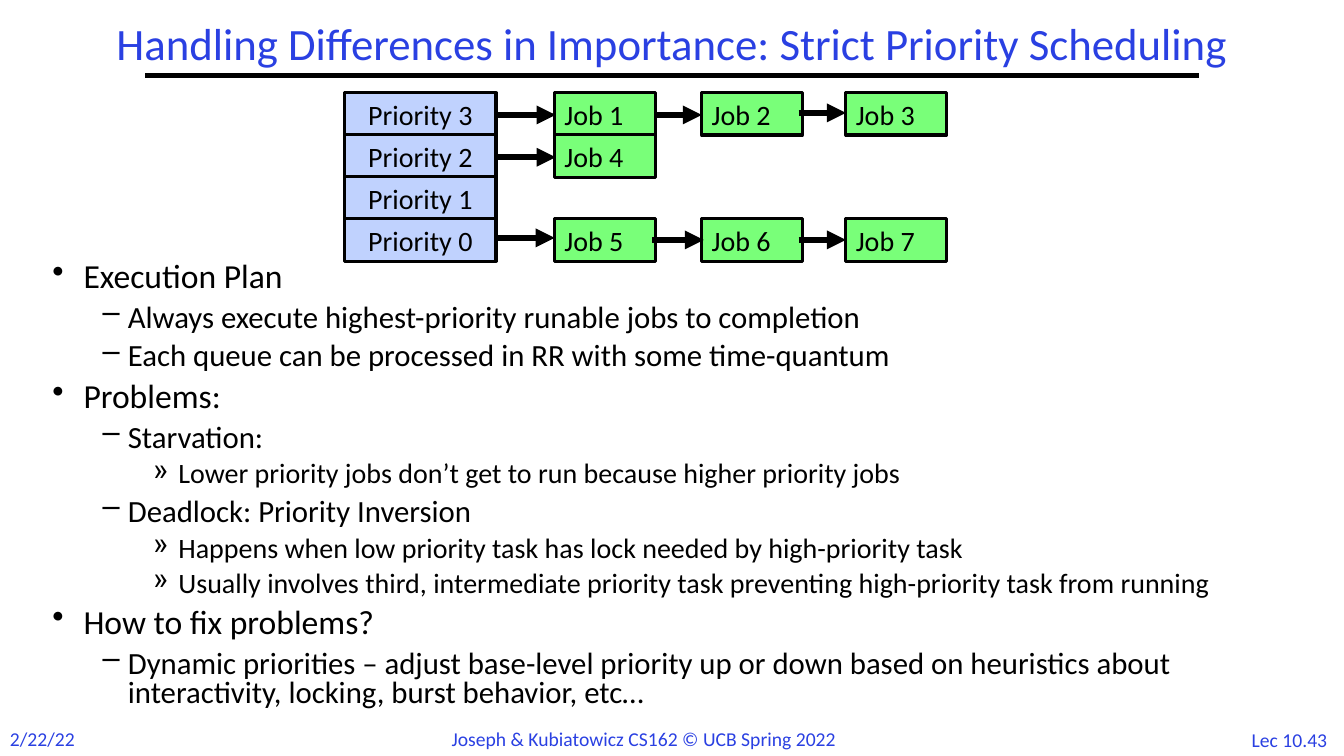
from lxml import etree
from pptx import Presentation
from pptx.dml.color import RGBColor
from pptx.enum.shapes import MSO_CONNECTOR, MSO_SHAPE
from pptx.enum.text import MSO_ANCHOR, PP_ALIGN
from pptx.oxml.ns import qn
from pptx.util import Inches, Pt

STRAIGHT = MSO_CONNECTOR.STRAIGHT
RECTANGLE = MSO_SHAPE.RECTANGLE
TOP, MIDDLE = MSO_ANCHOR.TOP, MSO_ANCHOR.MIDDLE
LEFT, CENTER = PP_ALIGN.LEFT, PP_ALIGN.CENTER

BLACK = RGBColor(0x00, 0x00, 0x00)
TITLE_BLUE = RGBColor(0x2A, 0x40, 0xE2)
QUEUE_BLUE = RGBColor(0xC0, 0xD2, 0xFE)
JOB_GREEN = RGBColor(0x79, 0xFF, 0x79)
FONT = "Calibri"

QUEUE_LEFT, QUEUE_WIDTH = 3.42, 1.5
QUEUE_TOP, ROW_HEIGHT, BOX_HEIGHT = 0.92, 0.417, 0.42
JOB_LEFTS, JOB_WIDTH = (5.5, 6.96, 8.39), 1

QUEUES = [
    ("Priority 3", ["Job 1", "Job 2", "Job 3"]),
    ("Priority 2", ["Job 4"]),
    ("Priority 1", []),
    ("Priority 0", ["Job 5", "Job 6", "Job 7"]),
]

ARROWS = [
    (4.92, 5.51, 1.14),
    (6.49, 6.96, 1.14),
    (7.92, 8.39, 1.12),
    (4.92, 5.51, 1.56),
    (4.9, 5.5, 2.36),
    (6.47, 6.98, 2.38),
    (7.92, 8.39, 2.38),
]

LEVELS = [
    {"size": 24, "margin": 0.31, "hanging": 0.31, "bullet": "•"},
    {"size": 22, "margin": 0.75, "hanging": 0.25, "bullet": "–"},
    {"size": 20, "margin": 1.25, "hanging": 0.25, "bullet": "»"},
]

OUTLINE = [
    (0, "Execution Plan"),
    (1, "Always execute highest-priority runable jobs to completion"),
    (1, "Each queue can be processed in RR with some time-quantum"),
    (0, "Problems:"),
    (1, "Starvation:"),
    (2, "Lower priority jobs don’t get to run because higher priority jobs"),
    (1, "Deadlock: Priority Inversion"),
    (2, "Happens when low priority task has lock needed by high-priority task"),
    (2, "Usually involves third, intermediate priority task preventing "
        "high-priority task from running"),
    (0, "How to fix problems?"),
    (1, "Dynamic priorities – adjust base-level priority up or down based on "
        "heuristics about interactivity, locking, burst behavior, etc…"),
]

FOOTERS = [
    ("2/22/22", 0, 7.16, 0.85, LEFT),
    ("Joseph & Kubiatowicz CS162 © UCB Spring 2022", 4.38, 7.16, 4.55, LEFT),
    ("Lec 10.43", 12.25, 7.17, 1.08, CENTER),
]


def apply_format(target, values):
    for name, value in values.items():
        setattr(target, name, value)


def write(para, text, size, color=BLACK, align=LEFT):
    para.alignment = align
    span = para.add_run()
    span.text = text
    apply_format(span.font, {"name": FONT, "size": Pt(size)})
    span.font.color.rgb = color


def add_text_box(page, left, top, width, height, wrap=True, anchor=TOP):
    box = page.shapes.add_textbox(
        Inches(left), Inches(top), Inches(width), Inches(height))
    apply_format(box.text_frame, {"word_wrap": wrap, "vertical_anchor": anchor})
    return box.text_frame


def add_box(page, text, left, top, width, fill, align):
    box = page.shapes.add_shape(
        RECTANGLE, Inches(left), Inches(top), Inches(width), Inches(BOX_HEIGHT))
    box.shadow.inherit = False
    box.fill.solid()
    box.fill.fore_color.rgb = fill
    box.line.color.rgb = BLACK
    box.line.width = Pt(2.25)
    box.text_frame.vertical_anchor = TOP
    write(box.text_frame.paragraphs[0], text, 20, align=align)


def add_line(page, start, end, y, width, arrow=False):
    line = page.shapes.add_connector(
        STRAIGHT, Inches(start), Inches(y), Inches(end), Inches(y))
    line.line.color.rgb = BLACK
    line.line.width = Pt(width)
    if arrow:
        etree.SubElement(line.line._ln, qn("a:tailEnd"), type="triangle")
    etree.SubElement(line._element.spPr, qn("a:effectLst"))


def add_bullet(para, level, text):
    style = LEVELS[level]
    apply_format(para, {"level": level, "line_spacing": 0.8})
    write(para, text, style["size"])
    properties = para._p.get_or_add_pPr()
    properties.set("marL", str(Inches(style["margin"])))
    properties.set("indent", str(-Inches(style["hanging"])))
    spacing = etree.SubElement(properties, qn("a:spcBef"))
    etree.SubElement(spacing, qn("a:spcPct"), val="30000")
    etree.SubElement(properties, qn("a:buChar"), char=style["bullet"])


def add_outline(page):
    frame = add_text_box(page, 0.42, 2.56, 12.75, 4.89)
    for index, (level, text) in enumerate(OUTLINE):
        para = frame.add_paragraph() if index else frame.paragraphs[0]
        add_bullet(para, level, text)


def add_queues(page):
    for row, (priority, jobs) in enumerate(QUEUES):
        top = QUEUE_TOP + row * ROW_HEIGHT
        add_box(page, priority, QUEUE_LEFT, top, QUEUE_WIDTH, QUEUE_BLUE, CENTER)
        for job, left in zip(jobs, JOB_LEFTS):
            add_box(page, job, left, top, JOB_WIDTH, JOB_GREEN, LEFT)
    for start, end, y in ARROWS:
        add_line(page, start, end, y, 4.5, arrow=True)


def add_title(page, text):
    frame = add_text_box(page, 0.17, 0.17, 13, 0.58, anchor=MIDDLE)
    para = frame.paragraphs[0]
    para.line_spacing = 0.9
    write(para, text, 32, TITLE_BLUE, CENTER)


def add_footers(page):
    for text, left, top, width, align in FOOTERS:
        frame = add_text_box(page, left, top, width, 0.34, wrap=False)
        write(frame.paragraphs[0], text, 14, TITLE_BLUE, align)


def main():
    deck = Presentation()
    apply_format(deck, {"slide_width": Inches(13.33), "slide_height": Inches(7.5)})
    page = deck.slides.add_slide(deck.slide_layouts[6])
    add_footers(page)
    add_line(page, 1.44, 11.89, 0.75, 3)
    add_outline(page)
    add_queues(page)
    add_title(page, "Handling Differences in Importance: Strict Priority Scheduling")
    deck.save("out.pptx")


main()
